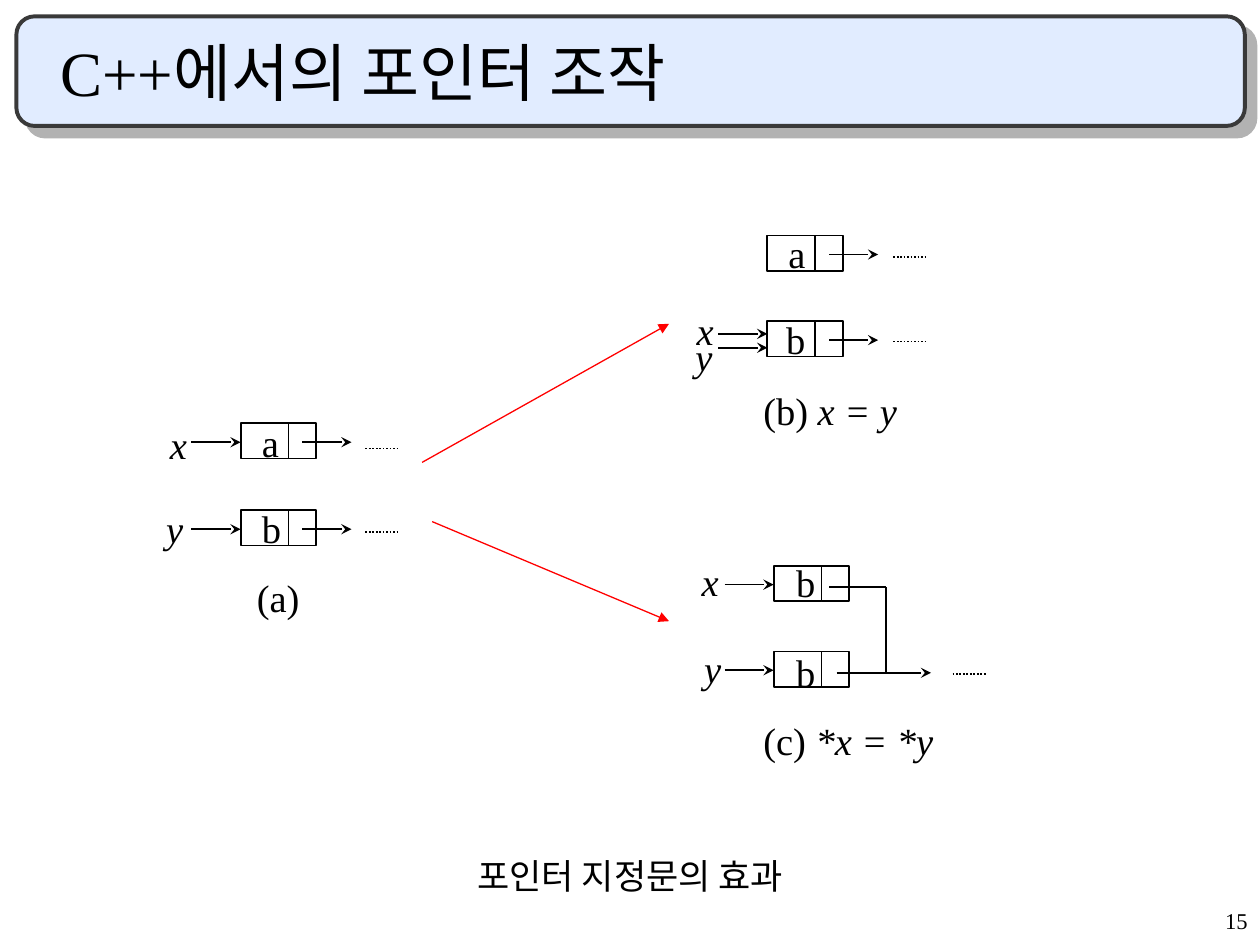
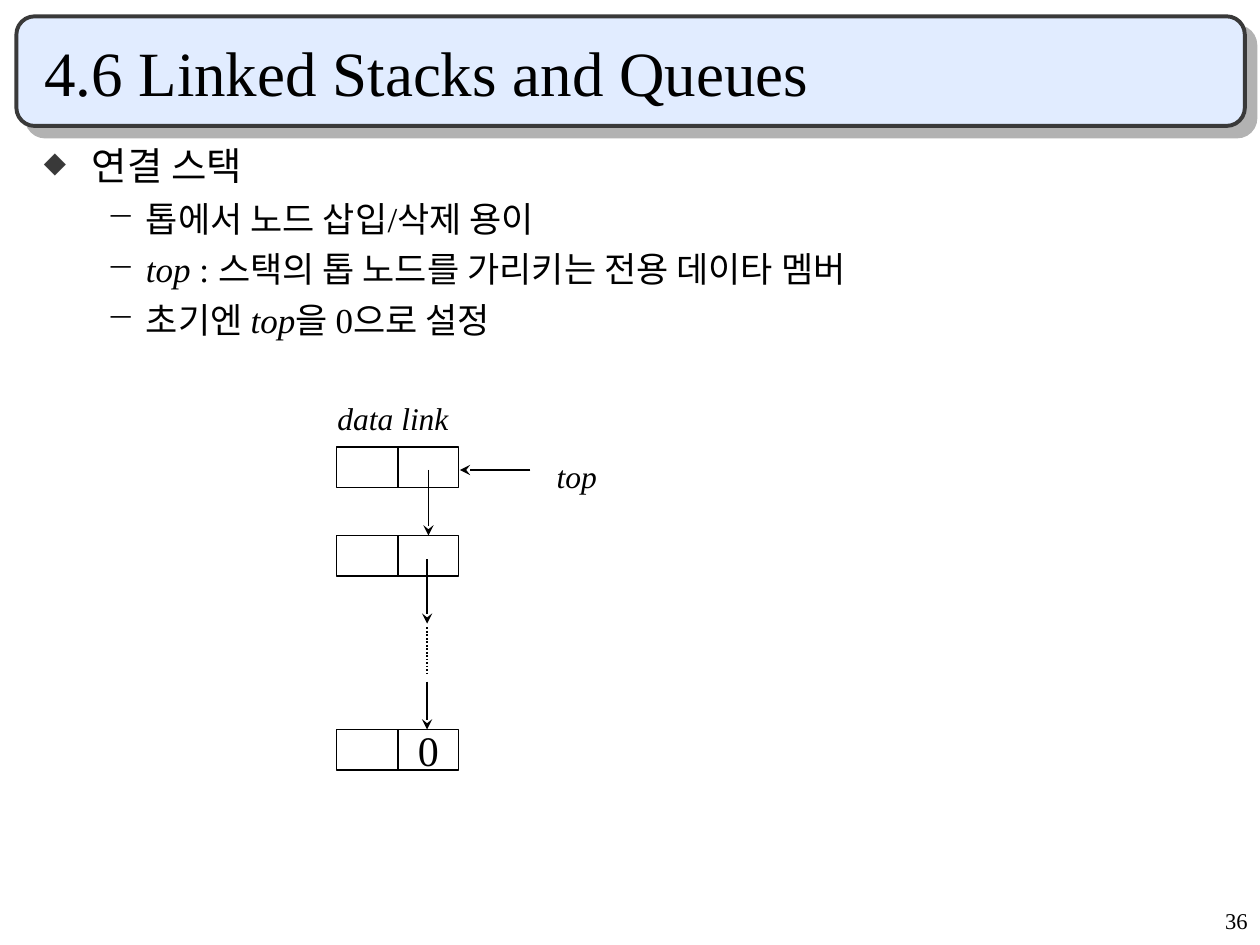
"""Build two lecture slides on pointer assignment and linked stacks."""
from lxml.etree import SubElement
from pptx import Presentation
from pptx.dml.color import RGBColor
from pptx.enum.dml import MSO_LINE
from pptx.enum.shapes import MSO_CONNECTOR, MSO_SHAPE
from pptx.enum.text import MSO_ANCHOR, MSO_AUTO_SIZE, PP_ALIGN
from pptx.oxml.ns import qn
from pptx.util import Inches, Pt

FONT = "Times New Roman"
BLACK, GRAY, RED = "000000", "393939", "FF0000"
BAND, SHADOW = "E1ECFF", "B2B2B2"
rgb = RGBColor.from_string


def write(paragraph, size, *runs):
    """Fill a paragraph with (text, italic) runs in the shared font."""
    paragraph.font.name = FONT
    paragraph.font.size = Pt(size)
    paragraph.font.color.rgb = rgb(BLACK)
    italics = {italic for _, italic in runs}
    if len(italics) == 1:
        paragraph.font.italic = italics.pop()
    for text, italic in runs:
        run = paragraph.add_run()
        run.text = text
        if paragraph.font.italic is None:
            run.font.italic = italic


def draw_line(slide, x1, y1, x2, y2, end=None, color=BLACK, width=1, dash=None):
    """Draw a straight line with an optional arrowhead at its end."""
    connector = slide.shapes.add_connector(
        MSO_CONNECTOR.STRAIGHT, Inches(x1), Inches(y1), Inches(x2), Inches(y2))
    connector.line.color.rgb = rgb(color)
    connector.line.width = Pt(width)
    if dash:
        connector.line.dash_style = dash
    properties = connector._element.spPr
    if end:
        SubElement(properties.find(qn("a:ln")), qn("a:tailEnd"), type=end)
    SubElement(properties, qn("a:effectLst"))


deck = Presentation()
deck.slide_width, deck.slide_height = Inches(10), Inches(7.5)
layout = deck.slide_layouts[5]
pointers = deck.slides.add_slide(layout)
stacks = deck.slides.add_slide(layout)

band = pointers.shapes.add_shape(
    MSO_SHAPE.ROUNDED_RECTANGLE, Inches(0.13), Inches(0.13), Inches(9.75), Inches(0.87))
band.fill.solid()
band.fill.fore_color.rgb = rgb(BAND)
band.line.color.rgb = rgb(GRAY)
band.line.width = Pt(2.25)
effects = SubElement(band._element.spPr, qn("a:effectLst"))
shadow = SubElement(effects, qn("a:outerShdw"), dist=str(Pt(8.5)), dir="2700000",
                    algn="ctr", rotWithShape="0")
SubElement(shadow, qn("a:srgbClr"), val=SHADOW)
layout.shapes._spTree.insert(2, band._element)

for slide, heading, indent, number in [
        (pointers, "C++에서의 포인터 조작", 0.23, "15"),
        (stacks, "4.6 Linked Stacks and Queues", 0.1, "36")]:
    title = slide.shapes.title
    title.left, title.top = Inches(0.25), Inches(0.25)
    title.width, title.height = Inches(9.42), Inches(0.67)
    frame = title.text_frame
    frame.margin_left = Inches(indent)
    frame.vertical_anchor = MSO_ANCHOR.BOTTOM
    frame.auto_size = MSO_AUTO_SIZE.NONE
    frame.paragraphs[0].alignment = PP_ALIGN.LEFT
    write(frame.paragraphs[0], 36, (heading, False))

    page = slide.shapes.add_textbox(Inches(7.92), Inches(7.17), Inches(2.08), Inches(0.33))
    page.text_frame.word_wrap = True
    page_line = page.text_frame.paragraphs[0]
    page_line.alignment = PP_ALIGN.RIGHT
    page_line.line_spacing = 0.9
    write(page_line, 12.9, (number, False))

outline = stacks.shapes.add_textbox(Inches(0.25), Inches(1.08), Inches(9.42), Inches(1.73))
outline.text_frame.word_wrap = True
for index, runs in enumerate([
        [("연결 스택", False)],
        [("톱에서 노드 삽입/삭제 용이", False)],
        [("top", True), (" : 스택의 톱 노드를 가리키는 전용 데이타 멤버", False)],
        [("초기엔 ", False), ("top", True), ("을 0으로 설정", False)]]):
    if index == 0:
        point = outline.text_frame.paragraphs[0]
        size, margin, hanging, bullet, color, scale = 22, 0.38, 0.38, "◆", GRAY, 75
    else:
        point = outline.text_frame.add_paragraph()
        point.level = 1
        point.space_before = Pt(5)
        size, margin, hanging, bullet, color, scale = 20, 0.81, 0.31, "−", BLACK, 100
    properties = point._p.get_or_add_pPr()
    properties.set("marL", str(Inches(margin)))
    properties.set("indent", str(-Inches(hanging)))
    bullet_color = SubElement(properties, qn("a:buClr"))
    SubElement(bullet_color, qn("a:srgbClr"), val=color)
    SubElement(properties, qn("a:buSzPct"), val=str(scale * 1000))
    SubElement(properties, qn("a:buChar"), char=bullet)
    write(point, size, *runs)

pointer_nodes = [(1.91, 3.36), (1.91, 4.05), (6.09, 1.87),
                 (6.09, 2.55), (6.14, 4.49), (6.14, 5.17)]
stack_nodes = [(2.67, 3.55), (2.67, 4.25), (2.67, 5.79)]
for slide, nodes, data_width, link_width, height in [
        (pointers, pointer_nodes, 0.38, 0.22, 0.28),
        (stacks, stack_nodes, 0.49, 0.48, 0.32)]:
    for x, y in nodes:
        for left, width in [(x, data_width), (x + data_width, link_width)]:
            cell = slide.shapes.add_shape(
                MSO_SHAPE.RECTANGLE, Inches(left), Inches(y), Inches(width), Inches(height))
            cell.shadow.inherit = False
            cell.fill.background()
            cell.line.color.rgb = rgb(BLACK)
            cell.line.width = Pt(1)
null_link = cell.text_frame
null_link.word_wrap = False
null_link.vertical_anchor = MSO_ANCHOR.MIDDLE
null_link.paragraphs[0].alignment = PP_ALIGN.CENTER
write(null_link.paragraphs[0], 24, ("0", False))

for x, y in pointer_nodes[:4]:
    draw_line(pointers, x + 0.49, y + 0.15, x + 0.88, y + 0.15, "stealth")
for x, y in [(1.91, 3.51), (1.91, 4.2), (6.09, 2.65), (6.09, 2.76), (6.14, 4.64), (6.14, 5.32)]:
    draw_line(pointers, x - 0.39, y, x, y, "stealth")
for x, y in [(2.9, 3.56), (2.9, 4.22), (7.09, 2.04), (7.09, 2.71), (7.56, 5.35)]:
    draw_line(pointers, x, y, x + 0.27, y, dash=MSO_LINE.ROUND_DOT)
draw_line(pointers, 6.58, 4.66, 7.03, 4.66)
draw_line(pointers, 7.03, 4.66, 7.03, 5.35)
draw_line(pointers, 6.64, 5.34, 7.39, 5.34, "stealth")
draw_line(pointers, 3.35, 3.67, 5.31, 2.57, "triangle", RED, 0.75)
draw_line(pointers, 3.43, 4.14, 5.31, 4.93, "triangle", RED, 0.75)

for x, top, bottom in [(3.4, 3.73, 4.25), (3.39, 4.44, 4.95), (3.39, 5.41, 5.79)]:
    draw_line(stacks, x, top, x, bottom, "stealth")
draw_line(stacks, 4.21, 3.73, 3.65, 3.73, "stealth")
draw_line(stacks, 3.39, 4.98, 3.39, 5.36, dash=MSO_LINE.ROUND_DOT)

for slide, x, y, width, height, size, *runs in [
        (pointers, 1.98, 3.28, 0.34, 0.47, 22, ("a", False)),
        (pointers, 1.98, 3.96, 0.35, 0.47, 22, ("b", False)),
        (pointers, 6.16, 1.78, 0.34, 0.47, 22, ("a", False)),
        (pointers, 6.14, 2.46, 0.35, 0.47, 22, ("b", False)),
        (pointers, 6.22, 4.39, 0.35, 0.47, 22, ("b", False)),
        (pointers, 6.22, 5.1, 0.35, 0.47, 22, ("b", False)),
        (pointers, 1.25, 3.29, 0.34, 0.47, 22, ("x", True)),
        (pointers, 1.22, 3.96, 0.34, 0.47, 22, ("y", True)),
        (pointers, 5.43, 2.39, 0.34, 0.47, 22, ("x", True)),
        (pointers, 5.42, 2.59, 0.34, 0.47, 22, ("y", True)),
        (pointers, 5.47, 4.38, 0.34, 0.47, 22, ("x", True)),
        (pointers, 5.49, 5.07, 0.34, 0.47, 22, ("y", True)),
        (pointers, 1.94, 4.51, 0.54, 0.47, 22, ("(a)", False)),
        (pointers, 5.96, 3.02, 1.26, 0.47, 22, ("(b) ", False), ("x = y", True)),
        (pointers, 5.96, 5.64, 1.55, 0.47, 22, ("(c) ", False), ("*x = *y", True)),
        (pointers, 3.69, 6.73, 2.66, 0.44, 20, ("포인터 지정문의 효과", False)),
        (stacks, 2.58, 3.12, 1.08, 0.4, 18, ("data link", True)),
        (stacks, 4.32, 3.58, 0.52, 0.4, 18, ("top", True))]:
    label = slide.shapes.add_textbox(Inches(x), Inches(y), Inches(width), Inches(height))
    label.text_frame.word_wrap = False
    label.text_frame.auto_size = MSO_AUTO_SIZE.SHAPE_TO_FIT_TEXT
    write(label.text_frame.paragraphs[0], size, *runs)

deck.save("out.pptx")
